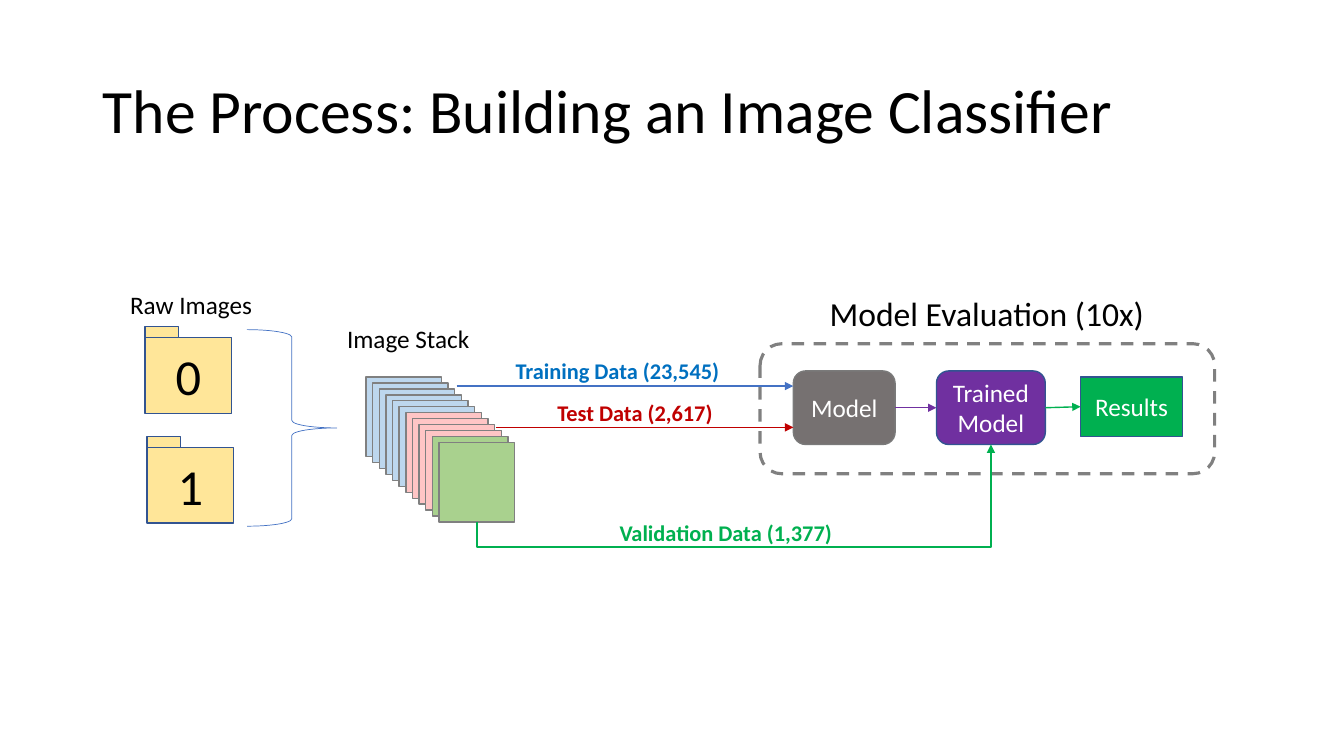
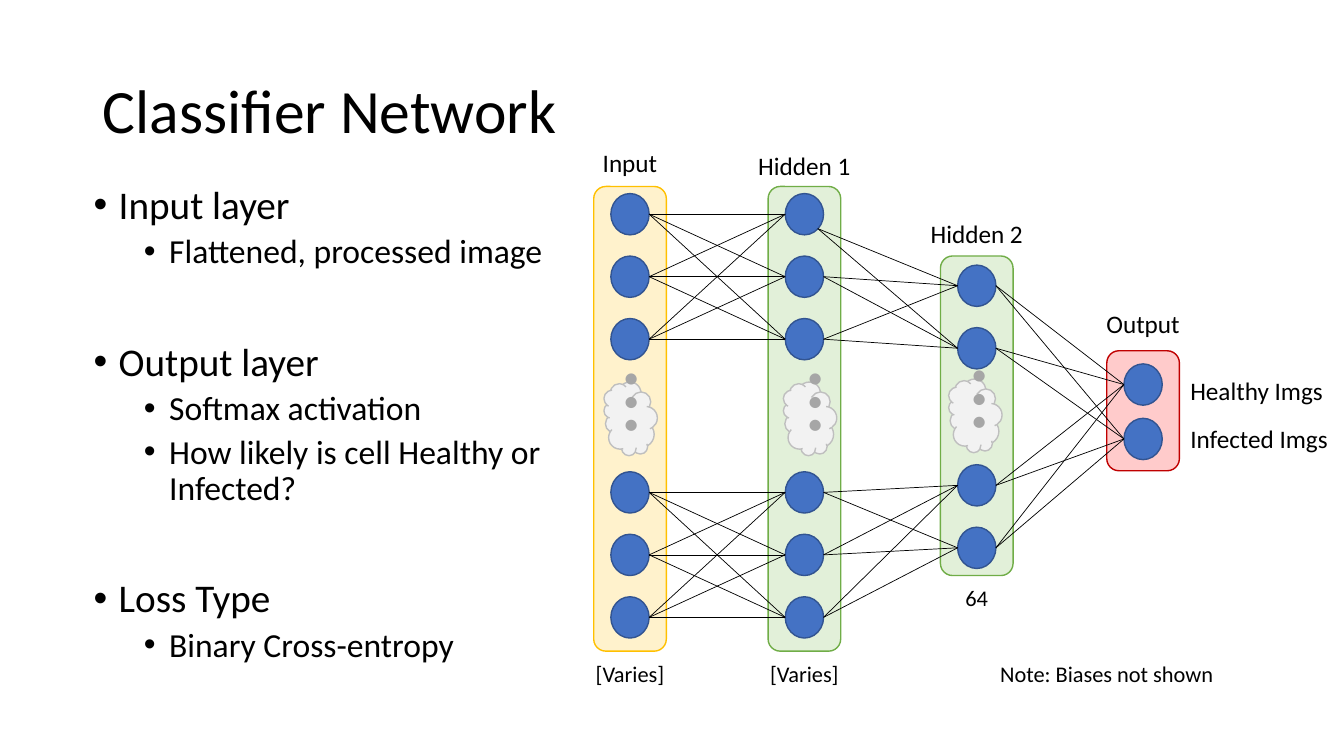
import dataclasses
import itertools

import pptx
import pptx.dml.color
import pptx.enum.dml
import pptx.enum.shapes
import pptx.enum.text
import pptx.oxml
import pptx.oxml.ns
import pptx.util

KIND = pptx.enum.shapes.MSO_SHAPE
LINK = pptx.enum.shapes.MSO_CONNECTOR
ALIGN = pptx.enum.text.PP_ALIGN
ANCHOR = pptx.enum.text.MSO_ANCHOR
qn = pptx.oxml.ns.qn


@dataclasses.dataclass(frozen=True)
class Theme:
    """Colours, font and type sizes of the deck."""
    font: str = "Calibri"
    ink: str = "000000"
    white: str = "FFFFFF"
    edge: str = "325491"
    blue: str = "4472C4"
    grey: str = "808080"
    red: str = "C00000"
    green: str = "00B050"
    purple: str = "7030A0"
    train: str = "0070C0"
    model: str = "767171"
    model_edge: str = "7A7A7A"
    folder: str = "FFE699"
    train_card: str = "BDD7EE"
    test_card: str = "FFC5C5"
    valid_card: str = "A9D18E"
    cloud: str = "F2F2F2"
    cloud_edge: str = "BFBFBF"
    dots: str = "A6A6A6"
    title: int = 44
    digit: int = 36
    ellipsis: int = 66
    body: int = 28
    sub: int = 24
    label: int = 18
    small: int = 16


T = Theme()


@dataclasses.dataclass(frozen=True)
class Box:
    """Rectangle on a grid whose cells are a tenth of an inch."""
    x: float
    y: float
    w: float
    h: float

    def sub(self, x, y, w, h):
        """Return a box placed relative to this one."""
        return Box(self.x + x, self.y + y, w, h)

    def emu(self):
        """Return left, top, width and height as lengths."""
        return [cells(v) for v in (self.x, self.y, self.w, self.h)]

    @property
    def mid(self):
        """Return the centre point."""
        return self.x + self.w / 2, self.y + self.h / 2


@dataclasses.dataclass(frozen=True)
class Layer:
    """One column of the network, with rows measured from its top."""
    name: str
    box: Box
    fill: str
    line: str
    rows: tuple
    lift: float
    size_note: str = ""
    cloud: float = 0
    dots: float = 0


FULL = (0.7, 6.9, 13.1, 28.3, 34.5, 40.7)
LAYERS = (
    Layer("Input", Box(58.9, 18.5, 7.2, 46.1), "FFF2CC", "FFC000", FULL, 4.4, "[Varies]", 0, 3.8),
    Layer("Hidden 1", Box(76.2, 18.5, 7.2, 46.1), "E2F0D9", "70AD47", FULL, 4.1, "[Varies]", 0.5, 4.8),
    Layer("Hidden 2", Box(93.3, 25.4, 7.2, 31.7), "E2F0D9", "70AD47",
          (0.9, 7.1, 20.7, 26.9), 4.2, "64", -0.2, 4),
    Layer("Output", Box(109.8, 34.8, 7.2, 11.9), "FFCBCB", "C00000", (1.3, 6.7), 4.7),
)
BULLETS = (
    (0, "Input layer", 10),
    (1, "Flattened, processed image", 5),
    (0, "Output layer", 51),
    (1, "Softmax activation", 5),
    (1, "How likely is cell Healthy or Infected?", 5),
    (0, "Loss Type", 51),
    (1, "Binary Cross-entropy", 5),
)


def cells(n):
    """Convert grid cells to a length."""
    return pptx.util.Inches(n / 10)


def rgb(code):
    """Convert a hex code to a colour."""
    return pptx.dml.color.RGBColor.from_string(code)


def write(p, text, size, color=T.ink, bold=False):
    """Add one formatted run to a paragraph."""
    r = p.add_run()
    r.text = text
    r.font.name, r.font.size, r.font.bold = T.font, pptx.util.Pt(size), bold
    r.font.color.rgb = rgb(color)


def shape(s, kind, box, fill, line, width=1, text="", size=T.label, color=T.white, rotation=0):
    """Draw a preset shape with optional centred text."""
    sp = s.shapes.add_shape(kind, *box.emu())
    sp.shadow.inherit = False
    sp.rotation = rotation
    if fill:
        sp.fill.solid()
        sp.fill.fore_color.rgb = rgb(fill)
    else:
        sp.fill.background()
    sp.line.color.rgb = rgb(line)
    sp.line.width = pptx.util.Pt(width)
    if text:
        p = sp.text_frame.paragraphs[0]
        p.alignment = ALIGN.CENTER
        write(p, text, size, color)
    return sp


def label(s, box, text, size=T.label, color=T.ink, bold=False,
          align=ALIGN.CENTER, anchor=ANCHOR.MIDDLE):
    """Place a one-line text box."""
    sp = s.shapes.add_textbox(*box.emu())
    tf = sp.text_frame
    tf.word_wrap, tf.vertical_anchor = True, anchor
    p = tf.paragraphs[0]
    p.alignment = align
    write(p, text, size, color, bold)
    return sp


def connect(s, begin, end, color, width=1, arrow=True, kind=LINK.STRAIGHT):
    """Draw a connector between points or (shape, side) pairs."""
    glued = not isinstance(begin[0], (int, float))
    ends = (0, 0, 0, 0) if glued else [cells(v) for v in (*begin, *end)]
    cx = s.shapes.add_connector(kind, *ends)
    if glued:
        cx.begin_connect(*begin)
        cx.end_connect(*end)
    cx.line.color.rgb = rgb(color)
    cx.line.width = pptx.util.Pt(width)
    spPr = cx.element.spPr
    if arrow:
        tail = pptx.oxml.ns.nsdecls("a")
        spPr.find(qn("a:ln")).append(pptx.oxml.parse_xml(f'<a:tailEnd {tail} type="triangle"/>'))
    spPr.append(pptx.oxml.parse_xml(f'<a:effectLst {pptx.oxml.ns.nsdecls("a")}/>'))
    return cx


def loop_below(s, start, stop, drop, color):
    """Join the undersides of two shapes with a bent arrow that dips below them."""
    cx = connect(s, (start, 2), (stop, 2), color, kind=LINK.ELBOW)
    x, y = (cx.begin_x + cx.end_x) // 2, (cx.begin_y + cx.end_y) // 2
    w, h = abs(cx.end_y - cx.begin_y), abs(cx.end_x - cx.begin_x)
    cx.left, cx.top, cx.width, cx.height = x - w // 2, y - h // 2, w, h
    xfrm = cx.element.spPr.find(qn("a:xfrm"))
    for name, value in (("rot", "5400000"), ("flipH", "1"), ("flipV", "1")):
        xfrm.set(name, value)
    geom = cx.element.spPr.find(qn("a:prstGeom"))
    share = round(-100000 * cells(drop) / w)
    geom.find(qn("a:avLst")).append(pptx.oxml.parse_xml(
        f'<a:gd {pptx.oxml.ns.nsdecls("a")} name="adj1" fmla="val {share}"/>'))


def titled_slide(prs, text):
    """Add a title-only slide with the shared title style."""
    s = prs.slides.add_slide(prs.slide_layouts[5])
    sp = s.shapes.title
    sp.left, sp.top, sp.width, sp.height = Box(9.2, 4, 115, 14.5).emu()
    tf = sp.text_frame
    tf.word_wrap, tf.vertical_anchor = True, ANCHOR.MIDDLE
    tf.auto_size = pptx.enum.text.MSO_AUTO_SIZE.NONE
    p = tf.paragraphs[0]
    p.alignment, p.line_spacing = ALIGN.LEFT, 0.9
    write(p, text, T.title)
    return s


def raw_images(s, box):
    """Draw the two labelled folders and their brace."""
    label(s, box.sub(0, 0, 14.9, 3.4), "Raw Images")
    for digit, x, y in (("0", 2.9, 3.9), ("1", 3.1, 14.8)):
        folder = box.sub(x, y, 8.6, 8.6)
        shape(s, KIND.RECTANGLE, folder.sub(0, 1.1, 8.6, 7.5), T.folder, T.edge,
              text=digit, size=T.digit, color=T.ink)
        shape(s, KIND.RECTANGLE, folder.sub(0, 0, 3.3, 1.1), T.folder, T.edge)
    shape(s, KIND.LEFT_BRACE, box.sub(13, 4.2, 8.9, 19.5), None, T.blue, 0.5, rotation=180)


def image_stack(s, box):
    """Draw the cascade of image cards and return the front one."""
    label(s, box.sub(0, 0, 14.8, 3.6), "Image Stack")
    fills = [T.train_card] * 6 + [T.test_card] * 4 + [T.valid_card] * 2
    cards = [shape(s, KIND.RECTANGLE, box.sub(3.2 + 0.66 * i, 5.6 + 0.59 * i, 7.5, 7.9), fill, T.grey)
             for i, fill in enumerate(fills)]
    return cards[-1]


def evaluation(s, box):
    """Draw the dashed evaluation frame and return the trained model."""
    label(s, box.sub(3.9, -4.8, 37.2, 3.6), "Model Evaluation (10x)", T.sub)
    frame = shape(s, KIND.ROUNDED_RECTANGLE, box, None, T.grey, 2.25)
    frame.line.dash_style = pptx.enum.dml.MSO_LINE.DASH
    model = shape(s, KIND.ROUNDED_RECTANGLE, box.sub(3.3, 2.7, 10.1, 7.3), T.model, T.model_edge, text="Model")
    trained = shape(s, KIND.ROUNDED_RECTANGLE, box.sub(17.5, 2.7, 10.8, 7.3), T.purple, T.edge,
                    text="Trained Model")
    results = shape(s, KIND.RECTANGLE, box.sub(31.8, 3.3, 10.1, 5.9), T.green, T.edge, text="Results")
    connect(s, (model, 3), (trained, 1), T.purple)
    connect(s, (trained, 3), (results, 1), T.green)
    return trained


def data_flows(s, box, card, trained):
    """Draw the three labelled data arrows."""
    connect(s, (box.x, box.y + 2.9), (box.x + box.w, box.y + 2.9), T.blue)
    connect(s, (box.x + 3.9, box.y + 7), (box.x + box.w, box.y + 7), T.red)
    loop_below(s, card, trained, 2.5, T.green)
    for text, color, place in (
            ("Training Data (23,545)", T.train, (4.5, 0, 22.9, 2.7)),
            ("Test Data (2,617)", T.red, (8.9, 4.1, 17.6, 2.8)),
            ("Validation Data (1,377)", T.green, (14.7, 16.2, 24, 2.5))):
        label(s, box.sub(*place), text, T.small, color, True)


def bullet_list(s, box):
    """Write the two-level bullet list."""
    tf = s.shapes.add_textbox(*box.emu()).text_frame
    tf.word_wrap = True
    for i, (level, text, gap) in enumerate(BULLETS):
        p = tf.add_paragraph() if i else tf.paragraphs[0]
        p.level, p.line_spacing, p.space_before = level, 0.9, pptx.util.Pt(gap)
        pPr = p._p.get_or_add_pPr()
        pPr.set("marL", str(pptx.util.Inches(0.25 + 0.5 * level)))
        pPr.set("indent", str(pptx.util.Inches(-0.25)))
        for tag, name, value in (("a:buFont", "typeface", "Arial"), ("a:buChar", "char", "•")):
            bullet = pptx.oxml.parse_xml(f'<{tag} {pptx.oxml.ns.nsdecls("a")} {name}="{value}"/>')
            pPr.append(bullet)
        write(p, text, T.sub if level else T.body)


def network_layer(s, layer):
    """Draw one layer and return the boxes of its neurons."""
    box = layer.box
    x, y = box.mid
    shape(s, KIND.ROUNDED_RECTANGLE, box, layer.fill, layer.line)
    label(s, Box(x - 8, box.y - layer.lift, 16, 4), layer.name, anchor=ANCHOR.TOP)
    if layer.size_note:
        label(s, Box(x - 8.5, box.y + box.h + 0.4, 17, 3.7), layer.size_note, T.small, anchor=ANCHOR.TOP)
        shape(s, KIND.CLOUD, Box(box.x + layer.cloud, y - 2.65, 7.3, 5.3), T.cloud, T.cloud_edge, rotation=270)
        dots = label(s, Box(box.x + layer.dots, y - 11.75, 5, 23.5), "…", T.ellipsis, T.dots, anchor=ANCHOR.TOP)
        dots.rotation = 270
    neurons = [box.sub(1.7, row, 3.8, 4.1) for row in layer.rows]
    for neuron in neurons:
        shape(s, KIND.OVAL, neuron, T.blue, T.edge)
    return neurons


def link_all(s, sources, targets, low_first=False):
    """Join every source neuron to every target neuron."""
    for (i, a), b in itertools.product(enumerate(sources), targets):
        x, y = a.mid
        low = low_first and i == 0
        start = (x + 0.35 * a.w, y + 0.35 * a.h) if low else (a.x + a.w, y)
        connect(s, start, (b.x, b.mid[1]), T.ink, 0.5, arrow=False)


def network(s, box):
    """Draw the layers, their links and the side notes."""
    inputs, first, second, outputs = [network_layer(s, layer) for layer in LAYERS]
    link_all(s, inputs[:3], first[:3])
    link_all(s, inputs[3:], first[3:])
    link_all(s, first[:3], second[:2], low_first=True)
    link_all(s, first[3:], second[2:])
    link_all(s, second, outputs)
    for y, text in ((18.2, "Healthy Imgs"), (23, "Infected Imgs")):
        label(s, box.sub(58.2, y, 16.1, 4), text, align=ALIGN.LEFT, anchor=ANCHOR.TOP)
    label(s, box.sub(39.2, 46.5, 23.4, 3.7), "Note: Biases not shown", T.small, anchor=ANCHOR.TOP)


def main():
    """Build and save the deck."""
    prs = pptx.Presentation()
    prs.slide_width, prs.slide_height = cells(133.33), cells(75)

    s = titled_slide(prs, "The Process: Building an Image Classifier")
    raw_images(s, Box(11.5, 28.5, 22, 24))
    card = image_stack(s, Box(33.1, 31.8, 18, 20))
    trained = evaluation(s, Box(75.4, 34.1, 45.1, 12.9))
    data_flows(s, Box(45.3, 35.4, 33.4, 19), card, trained)

    s = titled_slide(prs, "Classifier Network")
    bullet_list(s, Box(8.3, 17.9, 48.6, 50.8))
    network(s, Box(58.9, 18.5, 74.4, 50))

    prs.save("out.pptx")


if __name__ == "__main__":
    main()
